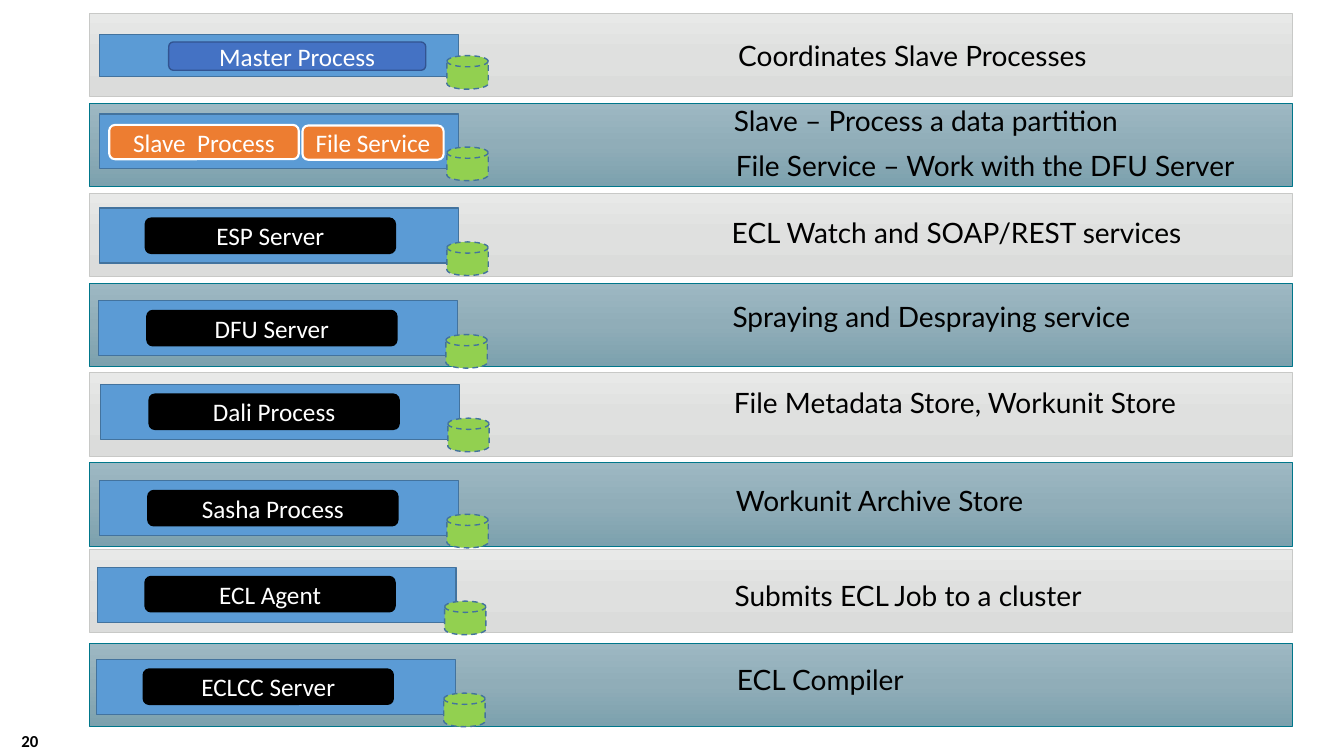
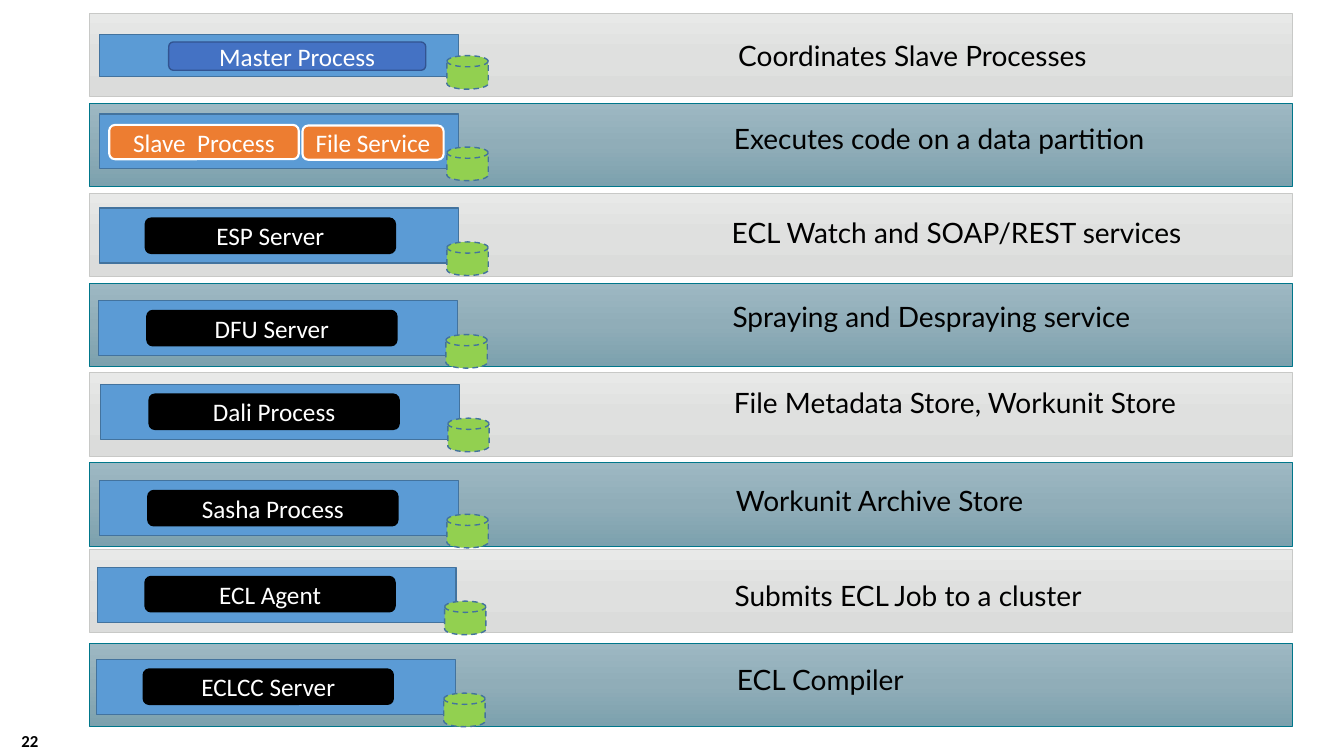
from copy import deepcopy
from dataclasses import dataclass

from pptx import Presentation
from pptx.dml.color import RGBColor
from pptx.enum.dml import MSO_LINE
from pptx.enum.shapes import MSO_SHAPE
from pptx.enum.text import MSO_ANCHOR, PP_ALIGN
from pptx.oxml.ns import qn
from pptx.util import Pt

RECTANGLE = MSO_SHAPE.RECTANGLE
ROUNDED = MSO_SHAPE.ROUNDED_RECTANGLE
DISK = MSO_SHAPE.FLOWCHART_MAGNETIC_DISK
DASH = MSO_LINE.DASH
LEFT, CENTER, RIGHT = PP_ALIGN.LEFT, PP_ALIGN.CENTER, PP_ALIGN.RIGHT
TOP, MIDDLE = MSO_ANCHOR.TOP, MSO_ANCHOR.MIDDLE

BLACK, WHITE = "000000", "FFFFFF"
NODE_FILL, NODE_LINE = "5B9BD5", "43739E"
DISK_FILL = "92D050"
MASTER_STYLE = ("4472C4", "325491", 1)
SLAVE_STYLE = ("ED7D31", WHITE, 1.5)
SERVER_STYLE = (BLACK, BLACK, 1)
BAND_STYLES = (
    (("E8E9E8", "DFE0DF", "DBDCDB"), "C8C9C7"),
    (("9DB8C3", "90ADB8", "7CA1AE"), "00778B"),
)
LABEL_FONT, NOTE_FONT = "Calibri", "Lato"

BAND_LEFT, BAND_WIDTH, BAND_HEIGHT = 64, 859, 59.6
BAND_TOPS = [9.3 + 64.25 * index for index in range(6)] + [392.4, 459.2]
NODE_WIDTH, NODE_HEIGHT = 256.3, 39.4
DISK_WIDTH, DISK_HEIGHT = 29.5, 24
NOTE_WIDTH, NOTE_HEIGHT = 380, 36.7


@dataclass
class Chip:
    """A rounded label, placed from the corner of its node."""
    label: str
    left: float
    top: float = 7
    width: float = 178.6
    height: float = 25.2
    style: tuple = SERVER_STYLE


@dataclass
class Row:
    """A component: node and notes are placed from the corner of the band."""
    node: tuple
    chips: list
    notes: list
    node_height: float = NODE_HEIGHT


SLAVE_CHIPS = [
    Chip("Slave  Process", 6.8, 7.9, 135.4, 24.5, SLAVE_STYLE),
    Chip("File Service", 144.9, 8.3, 100.8, 24.5, SLAVE_STYLE),
]
MASTER_ROW = Row((7.2, 15.4), [Chip("Master Process", 49.3, 5.3, 183.6, 20.2, MASTER_STYLE)],
                 [(463.3, 18, "Coordinates Slave Processes")], 30.2)
SERVER_ROWS = [
    Row((7.2, 10.8), [Chip("ESP Server", 32.6, 7.2)],
        [(458.7, 15.8, "ECL Watch and SOAP/REST services")]),
    Row((6.5, 12.7), [Chip("DFU Server", 34.4)],
        [(459.3, 12, "Spraying and Despraying service")]),
    Row((7.9, 8.2), [Chip("Dali Process", 34.6)],
        [(460.2, 9.4, "File Metadata Store, Workunit Store")]),
    Row((7.2, 12.6), [Chip("Sasha Process", 34.4, 7.2)],
        [(461.6, 15.1, "Workunit Archive Store")]),
    Row((5.6, 12.8), [Chip("ECL Agent", 34, 6.6)],
        [(460.8, 20.9, "Submits ECL Job to a cluster")]),
    Row((5, 11.7), [Chip("ECLCC Server", 33.3)],
        [(462.4, 13.9, "ECL Compiler")]),
]
PAGES = [
    ("20", [(460.2, 0, "Slave – Process a data partition"),
            (461.6, 32.4, "File Service – Work with the DFU Server")]),
    ("22", [(460.2, 13, "Executes code on a data partition")]),
]


def color(value):
    """Turn a hex string into a colour."""
    return RGBColor.from_string(value)


def add_text(shape, text, size, font, tint, align, anchor, bold=False):
    """Write one styled line into a shape."""
    frame = shape.text_frame
    frame.vertical_anchor = anchor
    para = frame.paragraphs[0]
    para.alignment = align
    span = para.add_run()
    span.text = text
    span.font.size = Pt(size)
    span.font.name = font
    span.font.bold = bold
    span.font.color.rgb = color(tint)


def add_block(page, kind, box, fill, line, weight):
    """Draw a flat shape with an outline."""
    shape = page.shapes.add_shape(kind, *map(Pt, box))
    shape.shadow.inherit = False
    if fill:
        shape.fill.solid()
        shape.fill.fore_color.rgb = color(fill)
    shape.line.color.rgb = color(line)
    shape.line.width = Pt(weight)
    return shape


def add_plain_text(page, box, text, *style, **options):
    """Place an unwrapped text box without margins."""
    shape = page.shapes.add_textbox(*map(Pt, box))
    frame = shape.text_frame
    frame.word_wrap = False
    frame.margin_left = frame.margin_right = frame.margin_top = frame.margin_bottom = 0
    add_text(shape, text, *style, **options)


def add_band(page, box, tints, line):
    """Draw a band shaded from top to bottom in three tints."""
    band = add_block(page, RECTANGLE, box, None, line, 0.5)
    band.fill.gradient()
    band.fill.gradient_angle = 270
    first = next(band.element.iter(qn("a:gs")))
    first.addnext(deepcopy(first))
    for stop, position, tint in zip(band.fill.gradient_stops, (0, 0.5, 1), tints):
        stop.position = position
        stop.color.rgb = color(tint)


def add_node(page, left, top, height, chips):
    """Draw a machine with its process labels and its disk."""
    add_block(page, RECTANGLE, (left, top, NODE_WIDTH, height), NODE_FILL, NODE_LINE, 1)
    for chip in chips:
        box = (left + chip.left, top + chip.top, chip.width, chip.height)
        shape = add_block(page, ROUNDED, box, *chip.style)
        add_text(shape, chip.label, 18, LABEL_FONT, WHITE, CENTER, MIDDLE)
    disk_box = (left + 248, top + height - 15.2, DISK_WIDTH, DISK_HEIGHT)
    disk = add_block(page, DISK, disk_box, DISK_FILL, NODE_LINE, 1)
    disk.line.dash_style = DASH


def add_row(page, left, top, row, band_style):
    """Draw a band with its node and the notes that explain it."""
    add_band(page, (left, top, BAND_WIDTH, BAND_HEIGHT), *band_style)
    node_left, node_top = row.node
    add_node(page, left + node_left, top + node_top, row.node_height, row.chips)
    for note_left, note_top, text in row.notes:
        box = (left + note_left, top + note_top, NOTE_WIDTH, NOTE_HEIGHT)
        add_plain_text(page, box, text, 20, NOTE_FONT, BLACK, LEFT, TOP)


def add_component_page(deck, number, slave_notes):
    """Build one overview slide of the components."""
    page = deck.slides.add_slide(deck.slide_layouts[6])
    slave_row = Row((7.2, 7.8), SLAVE_CHIPS, slave_notes, 38.9)
    rows = [MASTER_ROW, slave_row, *SERVER_ROWS]
    for index, (top, row) in enumerate(zip(BAND_TOPS, rows)):
        add_row(page, BAND_LEFT, top, row, BAND_STYLES[index % 2])
    add_plain_text(page, (-4.3, 514.8, 31.7, 28.8), number,
                   12, LABEL_FONT, BLACK, RIGHT, MIDDLE, bold=True)


def main():
    """Build and save the deck."""
    deck = Presentation()
    deck.slide_width, deck.slide_height = Pt(960), Pt(540)
    for number, slave_notes in PAGES:
        add_component_page(deck, number, slave_notes)
    deck.save("out.pptx")


if __name__ == "__main__":
    main()
